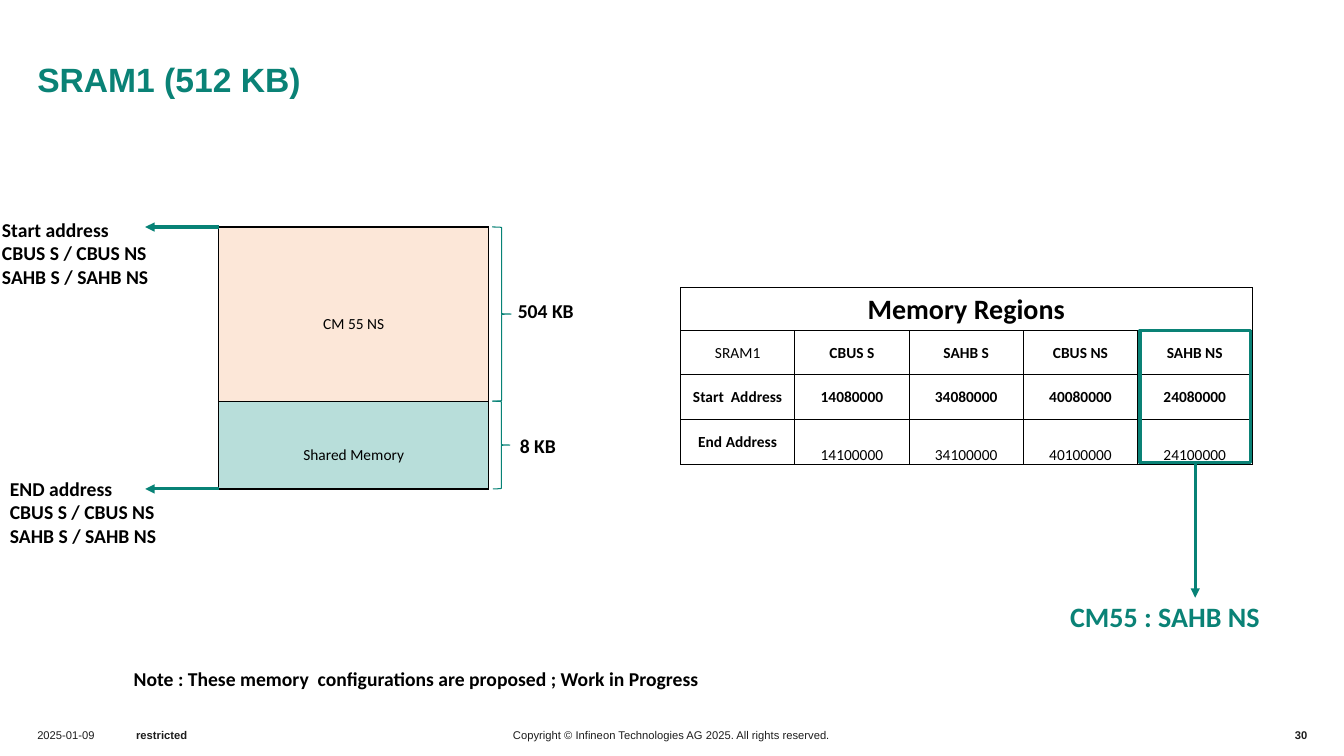
"""Build the SRAM1 memory map slide."""
from lxml import etree
from pptx import Presentation, util as u
from pptx.dml import color as dml
from pptx.enum import shapes, text
from pptx.oxml import ns

Cm, Pt = u.Cm, u.Pt
LEFT, CENTER, RIGHT = text.PP_ALIGN.LEFT, text.PP_ALIGN.CENTER, text.PP_ALIGN.RIGHT
TOP, MIDDLE, BOTTOM = text.MSO_ANCHOR.TOP, text.MSO_ANCHOR.MIDDLE, text.MSO_ANCHOR.BOTTOM
BLACK, GRAY, TEAL, GREEN = "000000", "1D1D1D", "0A8276", "078276"


def paint(fill, color):
    fill.solid()
    fill.fore_color.rgb = dml.RGBColor.from_string(color)


def write(frame, content, size=14, font="Calibri", color=BLACK, bold=True, align=LEFT):
    for index, line in enumerate(content.split("\n")):
        paragraph = frame.add_paragraph() if index else frame.paragraphs[0]
        paragraph.text = line
        paragraph.alignment = align
        paragraph.font.size = Pt(size)
        paragraph.font.name = font
        paragraph.font.bold = bold
        paint(paragraph.font.fill, color)


presentation = Presentation()
presentation.slide_width, presentation.slide_height = Cm(33.87), Cm(19.05)
slide = presentation.slides.add_slide(presentation.slide_layouts[5])

title = slide.shapes.title
title.left, title.top, title.width, title.height = Cm(0.94), Cm(0.53), Cm(26.7), Cm(2.01)
frame = title.text_frame
frame.margin_left = frame.margin_right = frame.margin_top = 0
frame.margin_bottom = Cm(0.03)
frame.vertical_anchor = BOTTOM
frame.auto_size = text.MSO_AUTO_SIZE.NONE
write(frame, "SRAM1 (512 KB)", size=24, font="Arial", color=TEAL)

footers = [
    ("2025-01-09", 0.94, 1.7, LEFT, False),
    ("restricted", 3.43, 2.69, LEFT, True),
    ("Copyright © Infineon Technologies AG 2025. All rights reserved.", 12.62, 8.61, CENTER, False),
    ("30", 31.88, 1.07, RIGHT, True),
]
for content, left, width, align, bold in footers:
    frame = slide.shapes.add_textbox(Cm(left), Cm(18.03), Cm(width), Cm(1)).text_frame
    frame.margin_left = frame.margin_right = frame.margin_top = frame.margin_bottom = 0
    frame.vertical_anchor = MIDDLE
    write(frame, content, size=8, font="Arial", color=GRAY, bold=bold, align=align)

map_left, map_top, map_width = 5.51, 5.72, 6.81
block_heights = [4.39, 2.21]
map_bottom = map_top + sum(block_heights)
region_rows = [
    ["Memory Regions", "", "", "", ""],
    ["SRAM1", "CBUS S", "SAHB S", "CBUS NS", "SAHB NS"],
    ["Start  Address", "14080000", "34080000", "40080000", "24080000"],
    ["End Address", "14100000", "34100000", "40100000", "24100000"],
]
tables = [
    ([["CM 55 NS"], ["Shared Memory"]], map_left, map_top, map_width, block_heights, 1),
    (region_rows, 17.15, 7.24, 2.88, [1.09, 1.09, 1.14, 1.14], 0.5),
]
block_fills = {"CM 55 NS": "FCE7D8", "Shared Memory": "B8DEDA"}
plain_cells = {"SRAM1", *block_fills, *region_rows[-1][1:]}
for rows, left, top, column_width, heights, border in tables:
    columns = len(rows[0])
    table = slide.shapes.add_table(len(rows), columns, Cm(left), Cm(top),
                                   Cm(column_width * columns), Cm(sum(heights))).table
    table.first_row = table.horz_banding = False
    for column in table.columns:
        column.width = Cm(column_width)
    for row, height in zip(table.rows, heights):
        row.height = Cm(height)
    if columns > 1:
        table.cell(0, 0).merge(table.cell(0, columns - 1))
    for row, values in enumerate(rows):
        for column, content in enumerate(values):
            cell = table.cell(row, column)
            cell.margin_left = cell.margin_right = Cm(0.03)
            cell.margin_top = Cm(0.5 if content in block_fills else 0.03)
            cell.margin_bottom = 0
            cell.vertical_anchor = BOTTOM if row == 3 and column else MIDDLE
            properties = cell._tc.get_or_add_tcPr()
            for side in ("a:lnL", "a:lnR", "a:lnT", "a:lnB"):
                line = etree.SubElement(properties, ns.qn(side), w=str(Pt(border)))
                solid = etree.SubElement(line, ns.qn("a:solidFill"))
                etree.SubElement(solid, ns.qn("a:srgbClr"), val=BLACK)
            if content in block_fills:
                paint(cell.fill, block_fills[content])
            else:
                cell.fill.background()
            write(cell.text_frame, content, size=20 if content == "Memory Regions" else 11,
                  bold=content not in plain_cells, align=CENTER)

outlines = [
    (shapes.MSO_SHAPE.RIGHT_BRACE, 12.4, map_top, 0.48, block_heights[0], GREEN, 0.75),
    (shapes.MSO_SHAPE.RIGHT_BRACE, 12.42, map_top + block_heights[0], 0.43, block_heights[1], GREEN, 0.75),
    (shapes.MSO_SHAPE.RECTANGLE, 28.73, 8.33, 2.79, 3.33, TEAL, 2.25),
]
for kind, left, top, width, height, color, weight in outlines:
    shape = slide.shapes.add_shape(kind, Cm(left), Cm(top), Cm(width), Cm(height))
    shape.shadow.inherit = False
    shape.fill.background()
    paint(shape.line.fill, color)
    shape.line.width = Pt(weight)
    if kind == shapes.MSO_SHAPE.RIGHT_BRACE:
        shape.adjustments[0] = 0.03

arrows = [
    (map_left, map_top, 3.66, map_top),
    (map_left, map_bottom, 3.66, map_bottom),
    (30.12, 11.66, 30.12, 15.06),
]
for ends in arrows:
    arrow = slide.shapes.add_connector(shapes.MSO_CONNECTOR.STRAIGHT, *map(Cm, ends))
    paint(arrow.line.fill, GREEN)
    arrow.line.width = Pt(2.25)
    etree.SubElement(arrow.line._get_or_add_ln(), ns.qn("a:tailEnd"), type="triangle")
    etree.SubElement(arrow._element.spPr, ns.qn("a:effectLst"))

buses = "CBUS S / CBUS NS\nSAHB S / SAHB NS"
labels = [
    ("504 KB", 12.8, 7.42, 2.87, 0.86, 14, BLACK),
    ("8 KB", 12.85, 10.8, 2.87, 0.86, 14, BLACK),
    ("CM55 : SAHB NS", 26.72, 14.99, 6.83, 1.12, 20, TEAL),
    ("Start address\n" + buses, -0.2, 5.36, 5.51, 2.06, 14, BLACK),
    ("END address\n" + buses, 0, 11.89, 5.51, 2.06, 14, BLACK),
    ("Note : These memory  configurations are proposed ; Work in Progress",
     3.12, 16.69, 22.91, 0.86, 14, BLACK),
]
for content, left, top, width, height, size, color in labels:
    frame = slide.shapes.add_textbox(Cm(left), Cm(top), Cm(width), Cm(height)).text_frame
    frame.word_wrap = True
    frame.vertical_anchor = TOP
    write(frame, content, size=size, color=color)

presentation.save("out.pptx")
